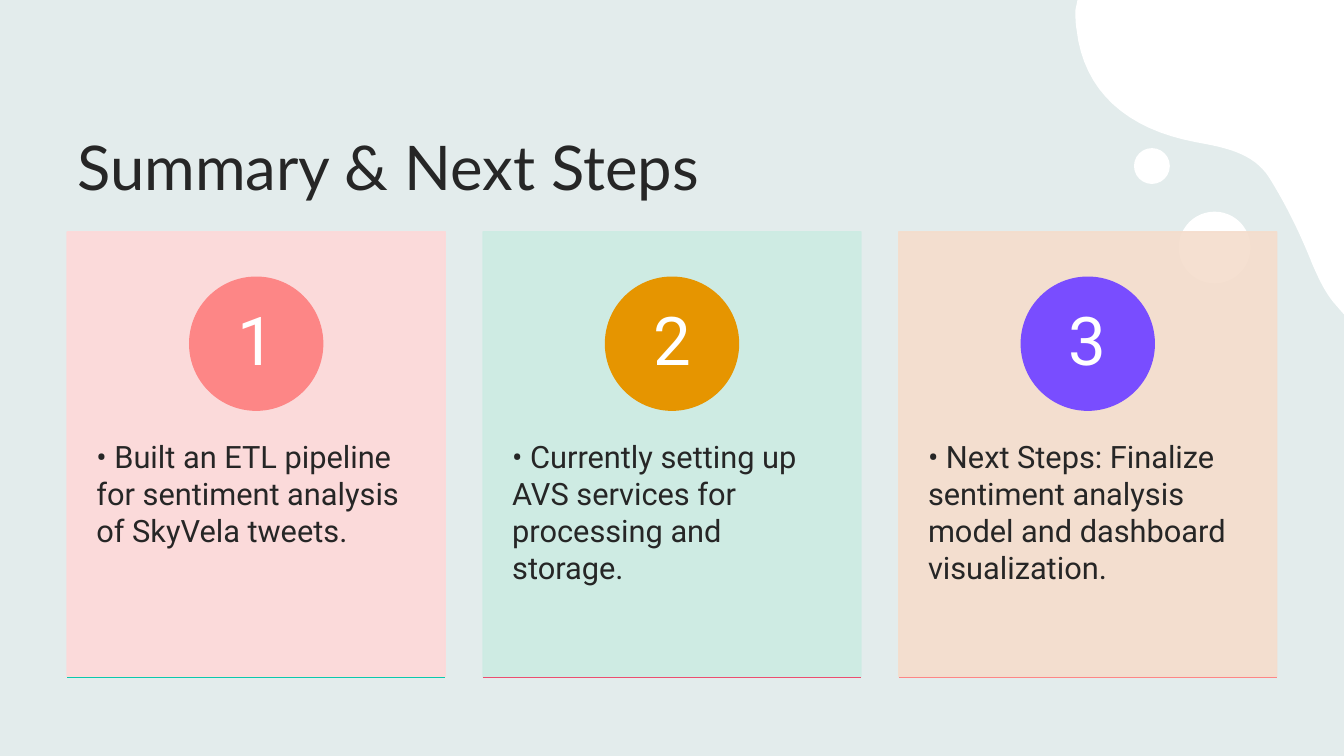
"""Build the "Summary & Next Steps" slide with three numbered cards."""
from lxml import etree
from pptx import Presentation
from pptx.dml.color import RGBColor
from pptx.enum.shapes import MSO_CONNECTOR, MSO_SHAPE
from pptx.enum.text import MSO_ANCHOR, PP_ALIGN
from pptx.oxml.ns import qn
from pptx.util import Pt

RECTANGLE, OVAL = MSO_SHAPE.RECTANGLE, MSO_SHAPE.OVAL
STRAIGHT = MSO_CONNECTOR.STRAIGHT
TOP, MIDDLE, BOTTOM = MSO_ANCHOR.TOP, MSO_ANCHOR.MIDDLE, MSO_ANCHOR.BOTTOM
LEFT, CENTER = PP_ALIGN.LEFT, PP_ALIGN.CENTER

COLORS = {
    "background": "E3ECEC", "white": "FFFFFF", "text": "262626",
    "pink": "FED9D9", "mint": "CCEBE3", "peach": "F5DDCC",
    "coral": "FD8686", "orange": "E69500", "violet": "794DFF",
    "teal": "0AC8AD", "red": "EC4E70",
}
SLIDE_WIDTH, SLIDE_HEIGHT = 960, 540
CARD_LEFT, CARD_TOP, CARD_WIDTH, CARD_HEIGHT = 48, 165.6, 270, 317.6
CARD_PITCH = 297
CIRCLE_TOP, CIRCLE_SIZE = 198, 95
RULE_TOP = 483.8
CURVE_STEPS = 16

CARDS = [
    ("• Built an ETL pipeline for sentiment analysis of SkyVela tweets.",
     "pink", "coral", "teal"),
    ("• Currently setting up AVS services for processing and storage.",
     "mint", "orange", "red"),
    ("• Next Steps: Finalize sentiment analysis model and dashboard visualization.",
     "peach", "violet", "coral"),
]
BLOB_CURVES = [
    ((768.2, 11.5), (768.2, 16.6), (769, 20.9)),
    ((774, 65.5), (805, 92.2), (853.9, 101.5)),
    ((873.4, 105.1), (895, 108.7), (906.5, 126.7)),
    ((918.7, 146.2), (928.8, 167), (937.4, 188.6)),
    ((941.8, 198.7), (946.1, 208.1), (952.6, 216)),
]
BUBBLES = [(842, 151.2, 51.2), (810, 105.8, 25.6)]


def paint(shape, color, outlined=False):
    """Give a shape a flat fill and, if wanted, a matching outline."""
    shape.shadow.inherit = False
    shape.fill.solid()
    shape.fill.fore_color.rgb = RGBColor.from_string(COLORS[color])
    if outlined:
        shape.line.color.rgb = RGBColor.from_string(COLORS[color])
        shape.line.width = Pt(1)
    else:
        shape.line.fill.background()


def write(shape, text, font, size, color, align, anchor, insets):
    """Put one formatted paragraph into a shape; insets are side, top, bottom."""
    frame = shape.text_frame
    frame.word_wrap = True
    frame.vertical_anchor = anchor
    side, top, bottom = insets
    frame.margin_left = frame.margin_right = Pt(side)
    frame.margin_top, frame.margin_bottom = Pt(top), Pt(bottom)
    paragraph = frame.paragraphs[0]
    paragraph.text = text
    paragraph.alignment = align
    paragraph.font.name = font
    paragraph.font.size = Pt(size)
    paragraph.font.color.rgb = RGBColor.from_string(COLORS[color])
    return paragraph


presentation = Presentation()
presentation.slide_width = Pt(SLIDE_WIDTH)
presentation.slide_height = Pt(SLIDE_HEIGHT)
slide = presentation.slides.add_slide(presentation.slide_layouts[5])
slide.background.fill.solid()
slide.background.fill.fore_color.rgb = RGBColor.from_string(COLORS["background"])

blob_points = [(769.7, 0), (768.2, 7.2)]
for first, second, end in BLOB_CURVES:
    start = blob_points[-1]
    for step in range(1, CURVE_STEPS + 1):
        t = step / CURVE_STEPS
        blob_points.append(tuple(
            (1 - t) ** 3 * a + 3 * (1 - t) ** 2 * t * b + 3 * (1 - t) * t ** 2 * c + t ** 3 * d
            for a, b, c, d in zip(start, first, second, end)))
blob_points.append((SLIDE_WIDTH, 224.6))
builder = slide.shapes.build_freeform(Pt(SLIDE_WIDTH), Pt(0))
builder.add_line_segments([(Pt(x), Pt(y)) for x, y in blob_points], close=True)
paint(builder.convert_to_shape(), "white")

for left, top, size in BUBBLES:
    bubble = slide.shapes.add_shape(OVAL, Pt(left), Pt(top), Pt(size), Pt(size))
    paint(bubble, "white")

title = slide.shapes.title
title.left, title.top, title.width, title.height = Pt(48), Pt(44), Pt(864), Pt(104.4)
write(title, "Summary & Next Steps", "Lato", 44, "text", LEFT, BOTTOM, (7.2, 3.6, 3.6))

for index, (text, card_color, circle_color, rule_color) in enumerate(CARDS):
    left = CARD_LEFT + index * CARD_PITCH
    card = slide.shapes.add_shape(
        RECTANGLE, Pt(left), Pt(CARD_TOP), Pt(CARD_WIDTH), Pt(CARD_HEIGHT))
    paint(card, card_color, outlined=True)
    for color_element in card._element.spPr.iter(qn("a:srgbClr")):
        etree.SubElement(color_element, qn("a:alpha")).set("val", "90000")
    write(card, text, "Roboto", 22, "text", LEFT, TOP, (20.9, 146.9, 20))

    circle = slide.shapes.add_shape(
        OVAL, Pt(left + (CARD_WIDTH - CIRCLE_SIZE) / 2), Pt(CIRCLE_TOP),
        Pt(CIRCLE_SIZE), Pt(CIRCLE_SIZE))
    paint(circle, circle_color, outlined=True)
    number = write(circle, str(index + 1), "Roboto", 48, "white", CENTER, MIDDLE, (7.2, 0.7, 0.7))
    number.line_spacing = 0.9

    rule = slide.shapes.add_connector(
        STRAIGHT, Pt(left), Pt(RULE_TOP), Pt(left + CARD_WIDTH), Pt(RULE_TOP))
    rule.line.color.rgb = RGBColor.from_string(COLORS[rule_color])
    rule.line.width = Pt(1)
    etree.SubElement(rule._element.spPr, qn("a:effectLst"))

presentation.save("out.pptx")
